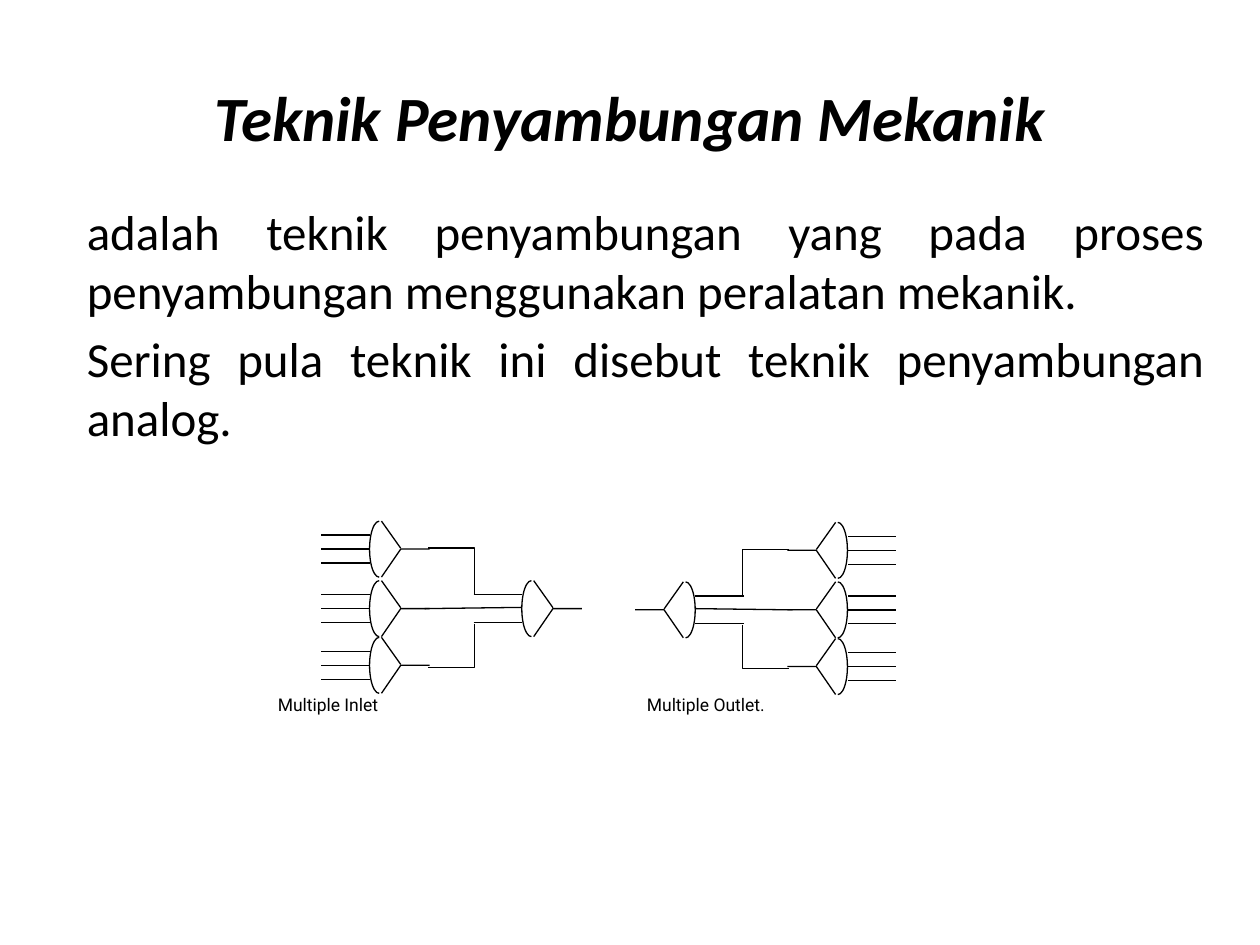
from lxml import etree
from pptx import Presentation
from pptx.dml.color import RGBColor
from pptx.enum.shapes import MSO_CONNECTOR, MSO_SHAPE
from pptx.enum.text import MSO_ANCHOR, PP_ALIGN
from pptx.oxml.ns import qn
from pptx.util import Pt

STRAIGHT = MSO_CONNECTOR.STRAIGHT
ARC = MSO_SHAPE.ARC
MIDDLE = MSO_ANCHOR.MIDDLE
CENTER, JUSTIFY = PP_ALIGN.CENTER, PP_ALIGN.JUSTIFY

COLORS = {"ink": "000000"}
INK = RGBColor.from_string(COLORS["ink"])
STROKE = Pt(0.75)

deck = Presentation()
deck.slide_width, deck.slide_height = Pt(720), Pt(540)
slide = deck.slides.add_slide(deck.slide_layouts[5])
shapes = slide.shapes


def wire(*points):
    """Draw a straight line, or an open outline when there are bends."""
    spots = [(Pt(x), Pt(y)) for x, y in points]
    if len(spots) == 2:
        item = shapes.add_connector(STRAIGHT, *spots[0], *spots[1])
        etree.SubElement(item._element.spPr, qn("a:effectLst"))
    else:
        maker = shapes.build_freeform(*spots[0])
        maker.add_line_segments(spots[1:], close=False)
        item = maker.convert_to_shape()
        item.fill.background()
        item.shadow.inherit = False
    item.line.color.rgb = INK
    item.line.width = STROKE


def style(par, font, size, bold=False, italic=False):
    for run in par.runs:
        run.font.name, run.font.size = font, Pt(size)
        run.font.bold, run.font.italic = bold, italic
        run.font.color.rgb = INK


# Title
title = shapes.title
title.left, title.top, title.width, title.height = Pt(36), Pt(21.6), Pt(648), Pt(90)
title.text_frame.text = "Teknik Penyambungan Mekanik"
title.text_frame.vertical_anchor = MIDDLE
title.text_frame.paragraphs[0].alignment = CENTER
style(title.text_frame.paragraphs[0], "Calibri", 36, True, True)

# Body
body = shapes.add_textbox(Pt(42.5), Pt(111.6), Pt(652.5), Pt(354)).text_frame
body.word_wrap = True
body.text = (
    "adalah teknik penyambungan yang pada proses penyambungan "
    "menggunakan peralatan mekanik.\n"
    "Sering pula teknik ini disebut teknik penyambungan analog."
)
for par in body.paragraphs:
    par.alignment = JUSTIFY
    par.space_before = Pt(5.6)
    style(par, "Calibri", 28)

# Networks: side is the way the gates open, -1 left and 1 right
RX, RY = 5.5, 16
PITCH = 8
for side, tip, hub, mid in ((-1, 229, 316, 347.8), (1, 466.5, 379.5, 348.5)):
    gates = [(tip, mid - 34), (tip, mid), (tip, mid + 32.4), (hub, mid)]

    # Gates, each with a stem, two slopes, a bow and its lines
    for x, y in gates:
        slope = x + side * 11
        bow = x + side * 12.3
        edge = bow + side * RX
        wire((x - side * 16.5, y), (x, y), (slope, y + RY))
        wire((x, y - 0.5), (slope, y - RY))
        arc = shapes.add_shape(ARC, Pt(bow - RX), Pt(y - RY), Pt(2 * RX), Pt(2 * RY))
        # Angles are 270 and 90 degrees for the right half
        top, foot = 162, 54
        arc.adjustments[0], arc.adjustments[1] = (top, foot) if side > 0 else (foot, top)
        arc.fill.background()
        arc.line.color.rgb = INK
        arc.line.width = STROKE
        arc.shadow.inherit = False
        for row in (-1, 0, 1):
            if x == hub and row == 0:
                wire((edge, y - 0.7), (hub + side * 73.3, y))
            else:
                wire((x + side * 45.4, y + row * PITCH), (edge, y + row * PITCH))

    # Bends from the outer gates to the hub
    bend, end = hub + side * 45, hub + side * 71.4
    for near, far in ((-8.6, -34.6), (8.6, 33.6)):
        wire((bend, mid + near), (bend, mid + far), (end, mid + far))

# Captions
for text, x in (("Multiple Inlet", 158.8), ("Multiple Outlet.", 369.7)):
    frame = shapes.add_textbox(Pt(x), Pt(396.7), Pt(110), Pt(16)).text_frame
    frame.margin_left = frame.margin_right = 0
    frame.margin_top = frame.margin_bottom = 0
    frame.word_wrap = True
    frame.text = text
    style(frame.paragraphs[0], "Roboto", 10)

deck.save("out.pptx")
